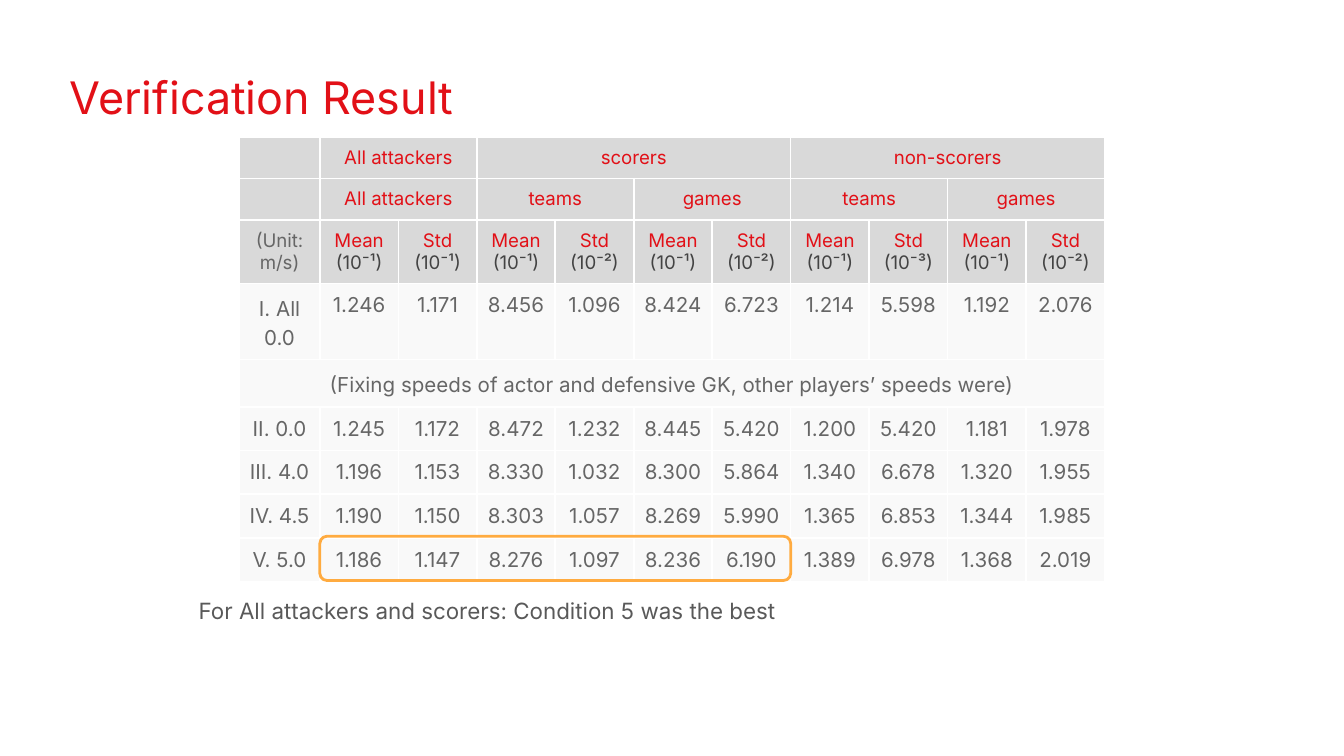
import lxml.etree
import pptx
import pptx.dml.color
import pptx.enum.shapes
import pptx.enum.text
import pptx.oxml.ns
import pptx.util

Inches, Pt = pptx.util.Inches, pptx.util.Pt
ALIGN = pptx.enum.text.PP_ALIGN
RED, GRAY, DARK, HEADER, BODY = "E21017", "666666", "434343", "D9D9D9", "F9F9F9"

TITLE = "Verification Result"
CONCLUSION = "For All attackers and scorers: Condition 5 was the best"
GROUPS = [
    [("", 1), ("All attackers", 2), ("scorers", 4), ("non-scorers", 4)],
    [("", 1), ("All attackers", 2), ("teams", 2), ("games", 2), ("teams", 2), ("games", 2)],
]
UNIT = "(Unit: m/s)"
SCALES = ["10⁻¹", "10⁻¹", "10⁻¹", "10⁻²", "10⁻¹", "10⁻²", "10⁻¹", "10⁻³", "10⁻¹", "10⁻²"]
NOTE = "(Fixing speeds of actor and defensive GK, other players’ speeds were)"
BASELINE = ("Ⅰ. All 0.0", "1.246 1.171 8.456 1.096 8.424 6.723 1.214 5.598 1.192 2.076")
CONDITIONS = [
    ("Ⅱ. 0.0", "1.245 1.172 8.472 1.232 8.445 5.420 1.200 5.420 1.181 1.978"),
    ("Ⅲ. 4.0", "1.196 1.153 8.330 1.032 8.300 5.864 1.340 6.678 1.320 1.955"),
    ("Ⅳ. 4.5", "1.190 1.150 8.303 1.057 8.269 5.990 1.365 6.853 1.344 1.985"),
    ("Ⅴ. 5.0", "1.186 1.147 8.276 1.097 8.236 6.190 1.389 6.978 1.368 2.019"),
]
SLIDE_WIDTH = 10
TABLE_LEFT, TABLE_TOP, TABLE_WIDTH, LABEL_WIDTH = 1.78, 1.02, 6.44, 0.6
VALUE_WIDTH = (TABLE_WIDTH - LABEL_WIDTH) / len(SCALES)
COLUMN_WIDTHS = [LABEL_WIDTH] + [VALUE_WIDTH] * len(SCALES)
ROW_HEIGHTS = [0.3, 0.3, 0.46, 0.56, 0.35] + [0.32] * len(CONDITIONS)


def rgb(code):
    """Turn a hex string into a colour."""
    return pptx.dml.color.RGBColor.from_string(code)


def write(frame, text, size=11, colors=(GRAY,), align=ALIGN.LEFT, spacing=None):
    """Write one paragraph per line of text, with one colour for each line."""
    for index, (line, color) in enumerate(zip(text.split("\n"), colors)):
        paragraph = frame.add_paragraph() if index else frame.paragraphs[0]
        paragraph.alignment = align
        if spacing:
            paragraph.line_spacing = spacing
        if line:
            run = paragraph.add_run()
            run.text = line
            run.font.name, run.font.size = "Inter", Pt(size)
            run.font.color.rgb = rgb(color)
        else:
            end = lxml.etree.SubElement(paragraph._p, pptx.oxml.ns.qn("a:endParaRPr"))
            end.set("sz", str(size * 100))


def set_frame(frame, margin=0.1):
    """Give a text frame equal margins, wrapping and a top anchor."""
    frame.margin_left = frame.margin_right = Inches(margin)
    frame.margin_top = frame.margin_bottom = Inches(margin)
    frame.word_wrap = True
    frame.vertical_anchor = pptx.enum.text.MSO_ANCHOR.TOP


def add_borders(cell, color="FFFFFF", width=1):
    """Draw the four borders of a table cell."""
    properties = cell._tc.get_or_add_tcPr()
    for side in ("lnL", "lnR", "lnT", "lnB"):
        line = lxml.etree.SubElement(properties, pptx.oxml.ns.qn(f"a:{side}"), w=str(Pt(width)))
        fill = lxml.etree.SubElement(line, pptx.oxml.ns.qn("a:solidFill"))
        lxml.etree.SubElement(fill, pptx.oxml.ns.qn("a:srgbClr"), val=color)


def table_rows():
    """List each row as its fill and its cells of text, span and format."""
    red = dict(size=10, colors=(RED,))
    rows = [(HEADER, [(text, span, red) for text, span in group]) for group in GROUPS]
    measures = [(f"{('Mean', 'Std')[i % 2]}\n({scale})", 1, dict(size=10, colors=(RED, DARK)))
                for i, scale in enumerate(SCALES)]
    rows.append((HEADER, [(UNIT, 1, dict(size=10))] + measures))
    label, values = BASELINE
    rows.append((BODY, [(label, 1, dict(spacing=1.15))] + [(v, 1, {}) for v in values.split()]))
    rows.append((BODY, [(NOTE, len(COLUMN_WIDTHS), dict(spacing=1.15))]))
    for label, values in CONDITIONS:
        rows.append((BODY, [(text, 1, {}) for text in [label] + values.split()]))
    return rows


def add_results(slide):
    """Add the table of means and deviations."""
    table = slide.shapes.add_table(
        len(ROW_HEIGHTS), len(COLUMN_WIDTHS), Inches(TABLE_LEFT), Inches(TABLE_TOP),
        Inches(TABLE_WIDTH), Inches(sum(ROW_HEIGHTS))).table
    table.first_row = table.horz_banding = False
    for column, width in zip(table.columns, COLUMN_WIDTHS):
        column.width = Inches(width)
    for r, (fill, cells) in enumerate(table_rows()):
        table.rows[r].height = Inches(ROW_HEIGHTS[r])
        c = 0
        for text, span, style in cells:
            for offset in range(span):
                cell = table.cell(r, c + offset)
                cell.margin_left = cell.margin_right = Inches(0.07)
                cell.margin_top = cell.margin_bottom = Inches(0.07)
                add_borders(cell)
                cell.fill.solid()
                cell.fill.fore_color.rgb = rgb(fill)
                write(cell.text_frame, "" if offset else text, align=ALIGN.CENTER, **style)
            if span > 1:
                table.cell(r, c).merge(table.cell(r, c + span - 1))
            c += span


def main():
    """Build the slide and save it."""
    deck = pptx.Presentation()
    deck.slide_width, deck.slide_height = Inches(SLIDE_WIDTH), Inches(SLIDE_WIDTH * 9 / 16)
    slide = deck.slides.add_slide(deck.slide_layouts[5])

    title = slide.shapes.title
    title.left, title.top, title.width, title.height = map(Inches, (0.42, 0.42, 9.17, 0.61))
    set_frame(title.text_frame)
    write(title.text_frame, TITLE, size=24, colors=(RED,))

    add_results(slide)

    best = slide.shapes.add_shape(
        pptx.enum.shapes.MSO_SHAPE.ROUNDED_RECTANGLE,
        Inches(TABLE_LEFT + LABEL_WIDTH), Inches(3.99), Inches(VALUE_WIDTH * 6), Inches(0.33))
    best.shadow.inherit = False
    best.fill.background()
    best.line.color.rgb = rgb("FFAB40")
    best.line.width = Pt(1.5)

    conclusion = slide.shapes.add_textbox(*map(Inches, (1.38, 4.31, 4.5, 0.4)))
    set_frame(conclusion.text_frame)
    write(conclusion.text_frame, CONCLUSION, size=12, colors=("595959",), spacing=1.15)

    deck.save("out.pptx")


if __name__ == "__main__":
    main()
